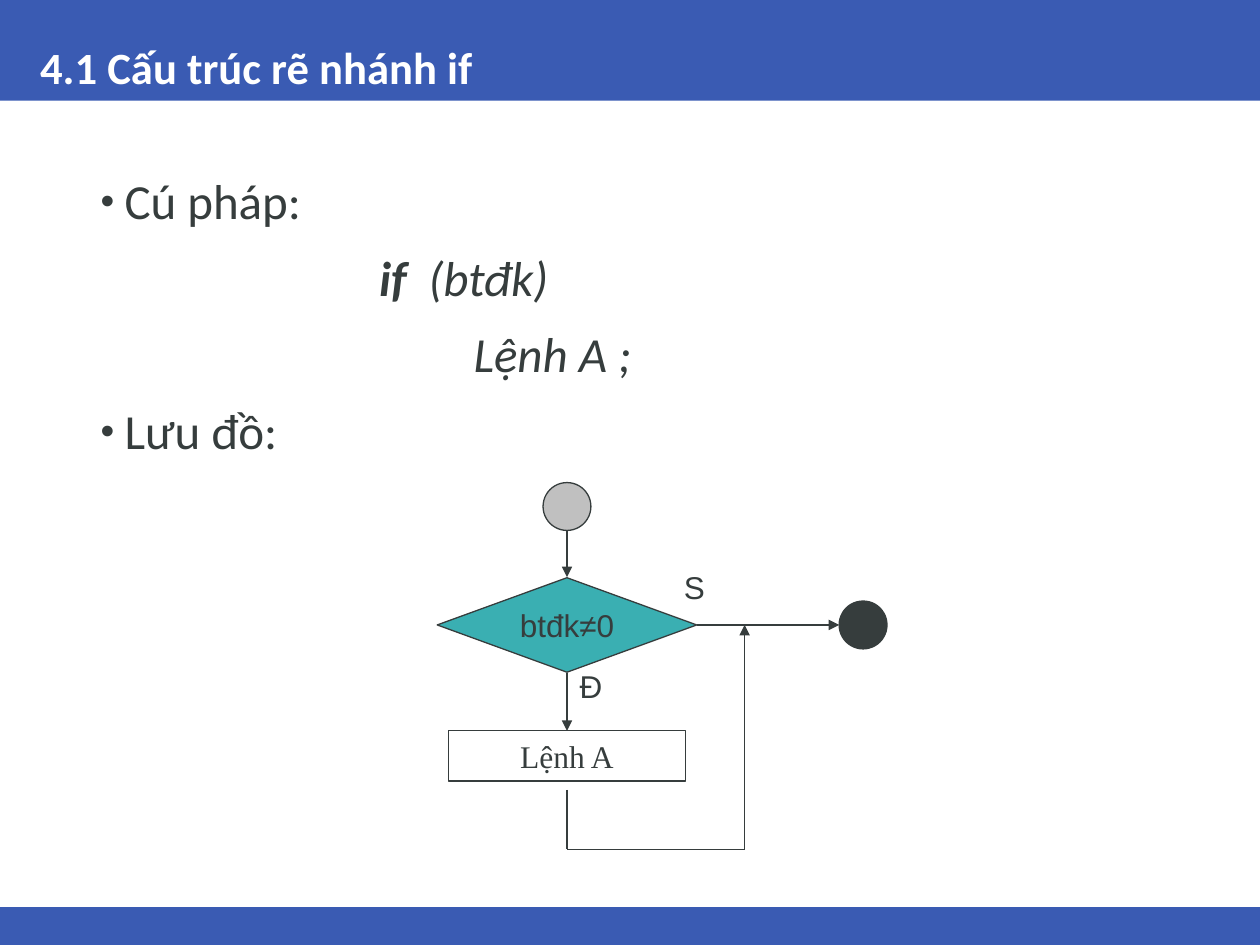
from lxml.etree import SubElement
from pptx import Presentation
from pptx.dml.color import RGBColor
from pptx.enum.shapes import MSO_CONNECTOR, MSO_SHAPE as SHAPE
from pptx.enum.text import MSO_ANCHOR as ANCHOR, PP_ALIGN as ALIGN
from pptx.oxml.ns import qn
from pptx.util import Inches, Pt

W, H = 10, 7.5
COLORS = {"band": "3A5BB3", "ink": "363D3D", "white": "FFFFFF",
          "start": "C0C0C0", "decision": "3AAFB2"}

TITLE = "4.1 Cấu trúc rẽ nhánh if"
# left margin, bulleted, runs of (text, bold, italic)
BODY = [
    (0.23, True, [("Cú pháp:", False, False)]),
    (2.25, False, [("if", True, True), ("  (btđk)", False, True)]),
    (3.0, False, [("Lệnh A ;", False, True)]),
    (0.23, True, [("Lưu đồ:", False, False)]),
]

# Flowchart axes: main column, return column, end column, and the decision row
MAIN, BACK, END, ROW = 4.5, 5.91, 6.85, 4.96
DOT = 0.38
# preset, centre x, centre y, width, height, fill, text, font
NODES = [
    (SHAPE.RECTANGLE, MAIN, 6.0, 1.88, 0.4, None, "Lệnh A", "Times New Roman"),
    (SHAPE.OVAL, MAIN, 4.02, DOT, DOT, "start", "", None),
    (SHAPE.OVAL, END, ROW, DOT, DOT, "ink", "", None),
    (SHAPE.FLOWCHART_DECISION, MAIN, ROW, 2.06, 0.75, "decision", "btđk≠0", "Arial"),
]
# from, to, arrowhead at the end
LINES = [
    ((MAIN + 1.03, ROW), (END - DOT / 2, ROW), True),
    ((MAIN, 4.21), (MAIN, 4.58), True),
    ((MAIN, 5.34), (MAIN, 5.8), True),
    ((MAIN, 6.27), (MAIN, 6.74), False),
    ((MAIN, 6.74), (BACK, 6.74), False),
    ((BACK, 6.74), (BACK, ROW), True),
]
LABELS = [("Đ", 4.69, 5.44), ("S", 5.51, 4.66)]  # text, centre x, centre y


def color(name):
    return RGBColor.from_string(COLORS[name])


def add_run(p, text, size, font, name="ink", bold=False, italic=False):
    r = p.add_run()
    r.text = text
    f = r.font
    f.size, f.name, f.bold, f.italic = Pt(size), font, bold, italic
    f.color.rgb = color(name)


def add_box(s, x, y, w, h, anchor=ANCHOR.TOP):
    tf = s.shapes.add_textbox(*map(Inches, (x, y, w, h))).text_frame
    tf.word_wrap = True
    tf.vertical_anchor = anchor
    return tf


def add_shape(s, preset, x, y, w, h, fill=None, line=None):
    sp = s.shapes.add_shape(preset, *map(Inches, (x, y, w, h)))
    sp.shadow.inherit = False
    if fill:
        sp.fill.solid()
        sp.fill.fore_color.rgb = color(fill)
    else:
        sp.fill.background()
    if line:
        sp.line.color.rgb = color(line)
        sp.line.width = Pt(0.75)
    else:
        sp.line.fill.background()
    return sp


def add_line(s, start, end, arrow):
    cn = s.shapes.add_connector(MSO_CONNECTOR.STRAIGHT, *map(Inches, start + end))
    cn.line.color.rgb = color("ink")
    cn.line.width = Pt(0.75)
    if arrow:
        SubElement(cn.line._get_or_add_ln(), qn("a:tailEnd"), type="triangle")
    SubElement(cn._element.spPr, qn("a:effectLst"))


def set_indent(p, left, bulleted):
    pPr = p._p.get_or_add_pPr()
    pPr.set("marL", str(Inches(left)))
    pPr.set("indent", str(Inches(-0.19 if bulleted else 0)))
    if bulleted:
        SubElement(pPr, qn("a:buSzPct"), val="80000")
        SubElement(pPr, qn("a:buFont"), typeface="Arial")
        SubElement(pPr, qn("a:buChar"), char="•")


def add_centred(tf, text, font):
    tf.margin_left = tf.margin_right = 0
    tf.vertical_anchor = ANCHOR.MIDDLE
    p = tf.paragraphs[0]
    p.alignment = ALIGN.CENTER
    add_run(p, text, 18, font)


def main():
    prs = Presentation()
    prs.slide_width, prs.slide_height = Inches(W), Inches(H)
    s = prs.slides.add_slide(prs.slide_layouts[6])

    for y, h in ((0, 0.8), (H - 0.3, 0.3)):
        add_shape(s, SHAPE.RECTANGLE, 0, y, W, h, "band")

    p = add_box(s, 0.22, 0, 9.57, 0.8, ANCHOR.BOTTOM).paragraphs[0]
    p.line_spacing = 0.9
    add_run(p, TITLE, 25.5, "Calibri", "white", bold=True)

    tf = add_box(s, 0.66, 1.36, 7.31, 3.1)
    for i, (left, bulleted, runs) in enumerate(BODY):
        p = tf.add_paragraph() if i else tf.paragraphs[0]
        p.line_spacing, p.space_before = 0.9, Pt(13.5)
        set_indent(p, left, bulleted)
        for text, bold, italic in runs:
            add_run(p, text, 28, "Calibri", bold=bold, italic=italic)

    for preset, cx, cy, w, h, fill, text, font in NODES:
        sp = add_shape(s, preset, cx - w / 2, cy - h / 2, w, h, fill, "ink")
        if text:
            sp.text_frame.word_wrap = preset == SHAPE.RECTANGLE
            add_centred(sp.text_frame, text, font)

    for line in LINES:
        add_line(s, *line)

    for text, cx, cy in LABELS:
        add_centred(add_box(s, cx - DOT / 2, cy - 0.2, DOT, 0.4), text, "Arial")

    prs.save("out.pptx")


if __name__ == "__main__":
    main()
